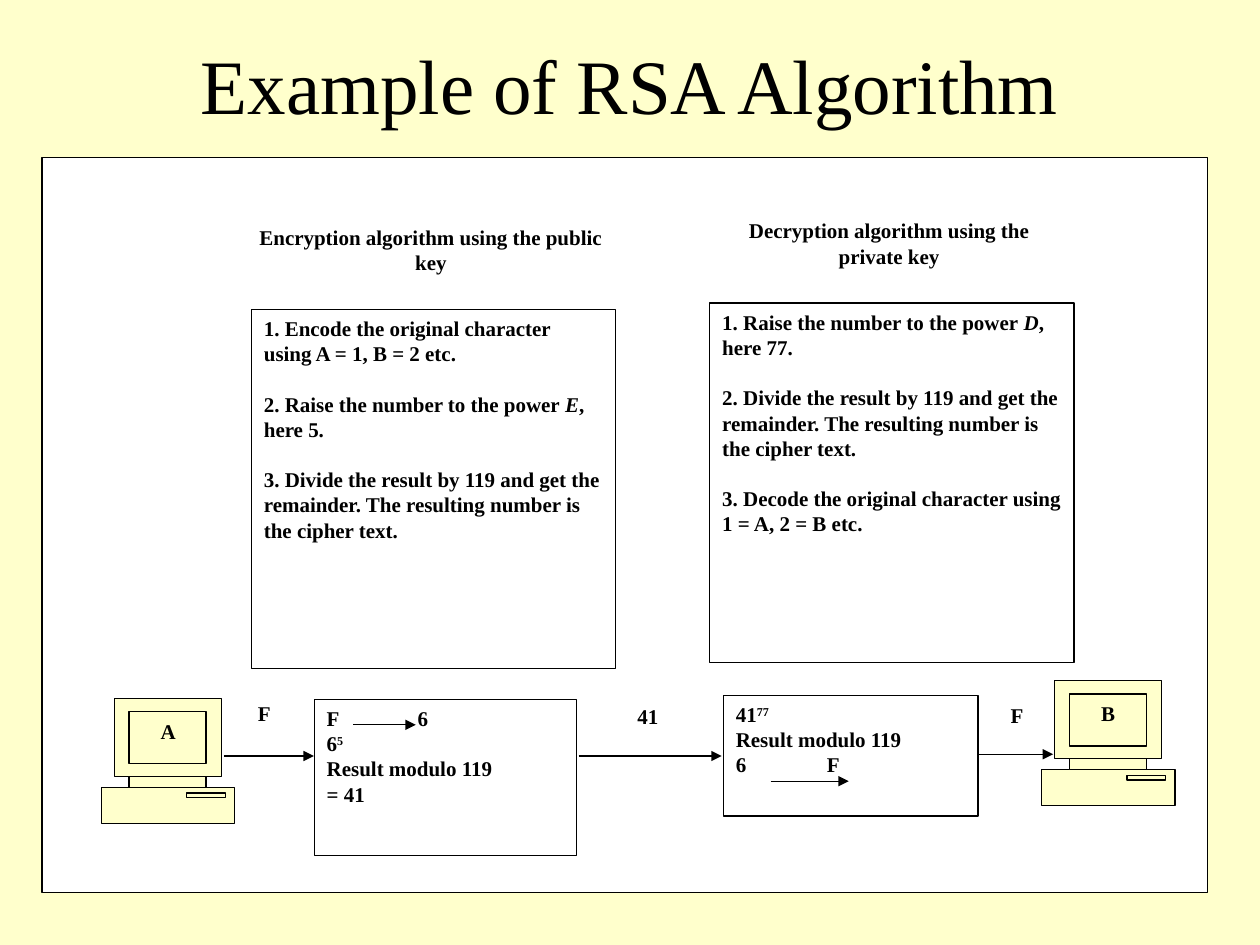
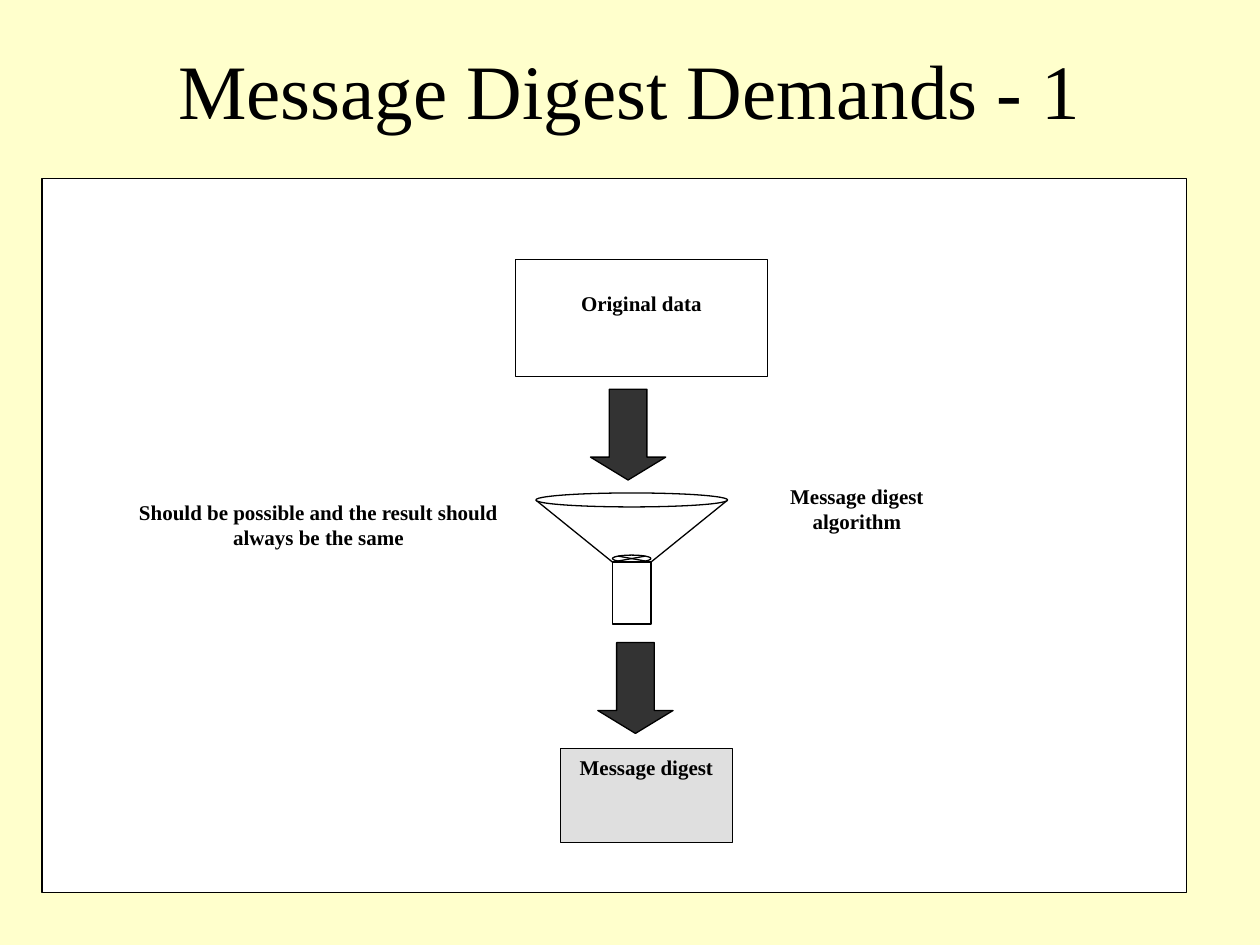
from copy import deepcopy
from dataclasses import dataclass
from typing import NamedTuple

from lxml.etree import SubElement
from pptx import Presentation
from pptx.dml.color import RGBColor
from pptx.enum.shapes import MSO_CONNECTOR, MSO_SHAPE
from pptx.enum.text import MSO_ANCHOR, PP_ALIGN
from pptx.oxml.ns import qn
from pptx.util import Pt

FONT = "Times New Roman"
CREAM, WHITE, BLACK = "FFFFCC", "FFFFFF", "000000"
DARK, SILVER = "333333", "C0C0C0"
TITLE_SIZE, BODY_SIZE, LINE_WIDTH = 44, 12, 0.75
STEP_GAP = 14.4  # space between numbered steps
MAPPING_TAB = 52  # room for the arrow between letter and number


class Run(NamedTuple):
    text: str
    italic: bool = False
    superscript: bool = False


Paragraph = tuple[Run, ...]


class Line(NamedTuple):
    x1: float
    y1: float
    x2: float
    y2: float
    arrow: bool = True


@dataclass(frozen=True)
class Box:
    left: float
    top: float
    width: float
    height: float
    text: tuple[Paragraph, ...] = ()
    kind: MSO_SHAPE = MSO_SHAPE.RECTANGLE
    fill: str = WHITE
    opacity: int = 100
    outline: bool = True
    centred: bool = True
    inset_top: float = 3.6
    gap: float = 0


class Computer(NamedTuple):
    left: float
    top: float
    name: str


def plain(*lines: str) -> tuple[Paragraph, ...]:
    return tuple((Run(line),) for line in lines)


def label(left: float, top: float, width: float, height: float, text: str) -> Box:
    return Box(left, top, width, height, plain(text), outline=False)


def rgb(colour: str) -> RGBColor:
    return RGBColor.from_string(colour)


def write(tf, text: tuple[Paragraph, ...], size: float = BODY_SIZE, bold: bool = True,
          centred: bool = True, inset_top: float = 3.6, gap: float = 0) -> None:
    tf.word_wrap = True
    tf.margin_left = tf.margin_right = Pt(7.2)
    tf.margin_top, tf.margin_bottom = Pt(inset_top), Pt(3.6)
    for i, runs in enumerate(text):
        p = tf.paragraphs[0] if i == 0 else tf.add_paragraph()
        p.alignment = PP_ALIGN.CENTER if centred else PP_ALIGN.LEFT
        if i and gap:
            p.space_before = Pt(gap)
        if any("\t" in run.text for run in runs):
            tabs = SubElement(p._p.get_or_add_pPr(), qn("a:tabLst"))
            SubElement(tabs, qn("a:tab"), pos=str(Pt(MAPPING_TAB)), algn="l")
        for run in runs:
            r = p.add_run()
            r.text = run.text
            r.font.name, r.font.size = FONT, Pt(size)
            r.font.bold, r.font.italic = bold, run.italic
            r.font.color.rgb = rgb(BLACK)
            if run.superscript:
                r.font._element.set("baseline", "30000")


def paint(sp, fill: str, outline: bool = True, opacity: int = 100) -> None:
    sp.shadow.inherit = False
    sp.fill.solid()
    sp.fill.fore_color.rgb = rgb(fill)
    if opacity < 100:
        clr = sp._element.spPr.find(f"{qn('a:solidFill')}/{qn('a:srgbClr')}")
        SubElement(clr, qn("a:alpha"), val=str(opacity * 1000))
    if outline:
        sp.line.color.rgb = rgb(BLACK)
        sp.line.width = Pt(LINE_WIDTH)
    else:
        sp.line.fill.background()


def draw_box(slide, box: Box) -> None:
    sp = slide.shapes.add_shape(box.kind, Pt(box.left), Pt(box.top), Pt(box.width), Pt(box.height))
    paint(sp, box.fill, box.outline, box.opacity)
    if box.kind == MSO_SHAPE.DOWN_ARROW:
        sp.adjustments[0], sp.adjustments[1] = 0.5, 0.304
    if box.text:
        sp.text_frame.vertical_anchor = MSO_ANCHOR.TOP
        write(sp.text_frame, box.text, centred=box.centred, inset_top=box.inset_top, gap=box.gap)


def draw_line(slide, line: Line) -> None:
    ends = (Pt(v) for v in line[:4])
    cx = slide.shapes.add_connector(MSO_CONNECTOR.STRAIGHT, *ends)
    cx.line.color.rgb = rgb(BLACK)
    cx.line.width = Pt(LINE_WIDTH)
    if line.arrow:
        SubElement(cx.line._get_or_add_ln(), qn("a:tailEnd"), type="triangle")
    SubElement(cx._element.spPr, qn("a:effectLst"))


def rectangle(x1: float, y1: float, x2: float, y2: float) -> list[tuple[float, float]]:
    return [(x1, y1), (x2, y1), (x2, y2), (x1, y2)]


# Computer outline, neck, screen and drive slot, from its top left corner
COMPUTER_PARTS = [
    [(59.8, 51), (59.8, 44.6), (68.6, 44.6), (68.6, 0), (7.4, 0), (7.4, 44.6), (15.8, 44.6),
     (15.8, 51), (0, 51), (0, 71.4), (76.2, 71.4), (76.2, 51)],
    rectangle(15.8, 44.6, 59.8, 51),
    rectangle(15.8, 7.6, 59.8, 37.4),
    rectangle(48.8, 54.2, 71, 56.8),
]


def draw_computer(slide, computer: Computer) -> None:
    parts = [[(Pt(computer.left + x), Pt(computer.top + y)) for x, y in part]
             for part in COMPUTER_PARTS]
    builder = slide.shapes.build_freeform(*parts[0][0])
    for i, part in enumerate(parts):
        if i:
            builder.move_to(*part[0])
        builder.add_line_segments(part[1:], close=True)
    sp = builder.convert_to_shape()
    # One path for each part, so that every part is filled
    paths = sp._element.spPr.find(f"{qn('a:custGeom')}/{qn('a:pathLst')}")
    joined = paths[0]
    for i in range(len(parts)):
        path = deepcopy(joined)
        contour = 0
        for step in list(path):
            if contour != i:
                path.remove(step)
            contour += step.tag == qn("a:close")
        paths.append(path)
    paths.remove(joined)
    paint(sp, CREAM)
    sp.text_frame.vertical_anchor = MSO_ANCHOR.TOP
    write(sp.text_frame, plain(computer.name), inset_top=11.6)


def add_slide(prs, title: str, title_top: float, title_height: float, panel: Box):
    slide = prs.slides.add_slide(prs.slide_layouts[6])
    slide.background.fill.solid()
    slide.background.fill.fore_color.rgb = rgb(CREAM)
    tb = slide.shapes.add_textbox(Pt(54), Pt(title_top), Pt(612), Pt(title_height))
    tb.text_frame.vertical_anchor = MSO_ANCHOR.MIDDLE
    write(tb.text_frame, plain(title), TITLE_SIZE, bold=False)
    draw_box(slide, panel)
    return slide


def build_rsa(prs) -> None:
    slide = add_slide(prs, "Example of RSA Algorithm", 24, 48, Box(24, 90, 666, 420))
    divide = "Divide the result by 119 and get the remainder. The resulting number is the cipher text."
    power = "Raise the number to the power "
    encryption = (
        (Run("1. Encode the original character using A = 1, B = 2 etc."),),
        (Run("2. " + power), Run("E", italic=True), Run(", here 5.")),
        (Run("3. " + divide),),
    )
    decryption = (
        (Run("1. " + power), Run("D", italic=True), Run(", here 77.")),
        (Run("2. " + divide),),
        (Run("3. Decode the original character using 1 = A, 2 = B etc."),),
    )
    encrypt_sum = (
        (Run("F\t6"),),
        (Run("6"), Run("5", superscript=True)),
        *plain("Result modulo 119", "= 41"),
    )
    decrypt_sum = (
        (Run("41"), Run("77", superscript=True)),
        *plain("Result modulo 119", "6\tF"),
    )
    boxes = [
        # Headings and steps
        label(140.4, 124.6, 211.7, 48, "Encryption algorithm using the public key"),
        label(402.3, 121, 211.7, 48, "Decryption algorithm using the private key"),
        Box(143.7, 176.7, 208.1, 205.3, encryption, centred=False, gap=STEP_GAP),
        Box(405.6, 173.2, 208.1, 205.3, decryption, centred=False, gap=STEP_GAP),
        # Worked sums
        Box(179.6, 399.6, 149.8, 89.2, encrypt_sum, centred=False),
        Box(413.4, 397.4, 145.6, 69, decrypt_sum, centred=False),
        # Values sent along the arrows
        label(136, 396.7, 30, 28, "F"),
        label(352, 398.6, 36.5, 28, "41"),
        label(566.7, 397.7, 29, 28, "F"),
    ]
    arrows = [
        Line(128, 432, 179.4, 432),
        Line(330.6, 432, 412.4, 432),
        Line(559, 431, 601.8, 431),
        Line(202, 414.2, 237.6, 414.2),
        Line(440.4, 446.4, 485, 446.4),
    ]
    for box in boxes:
        draw_box(slide, box)
    for computer in (Computer(58, 399, "A"), Computer(595.2, 388.9, "B")):
        draw_computer(slide, computer)
    for arrow in arrows:
        draw_line(slide, arrow)


def build_digest(prs) -> None:
    slide = add_slide(prs, "Message Digest Demands - 1", 18, 66, Box(24, 102, 654, 408))
    # Funnel sides
    for side in (Line(306.2, 285.8, 350, 321.2, False), Line(415.8, 285.8, 372, 321.2, False)):
        draw_line(slide, side)
    boxes = [
        Box(294.4, 148.2, 144.2, 67, plain("Original data"), inset_top=18),
        # Funnel neck, spout and mouth
        Box(350, 317.2, 22, 4, kind=MSO_SHAPE.FLOWCHART_SUMMING_JUNCTION),
        Box(350, 321.2, 22, 35.4, kind=MSO_SHAPE.FLOWCHART_PROCESS),
        Box(306.2, 281.7, 109.6, 8, kind=MSO_SHAPE.OVAL),
        # Flow arrows
        Box(337.4, 222.4, 43, 51.9, kind=MSO_SHAPE.DOWN_ARROW, fill=DARK),
        Box(341.6, 367.2, 43, 51.9, kind=MSO_SHAPE.DOWN_ARROW, fill=DARK),
        # Result and captions
        Box(320.2, 427.7, 98.4, 53.8, plain("Message digest"), fill=SILVER, opacity=50),
        label(434.2, 272.9, 111, 77.8, "Message digest algorithm"),
        label(58.2, 282, 247.6, 73.4, "Should be possible and the result should always be the same"),
    ]
    for box in boxes:
        draw_box(slide, box)


def main() -> None:
    prs = Presentation()
    prs.slide_width, prs.slide_height = Pt(720), Pt(540)
    build_rsa(prs)
    build_digest(prs)
    prs.save("out.pptx")


if __name__ == "__main__":
    main()
